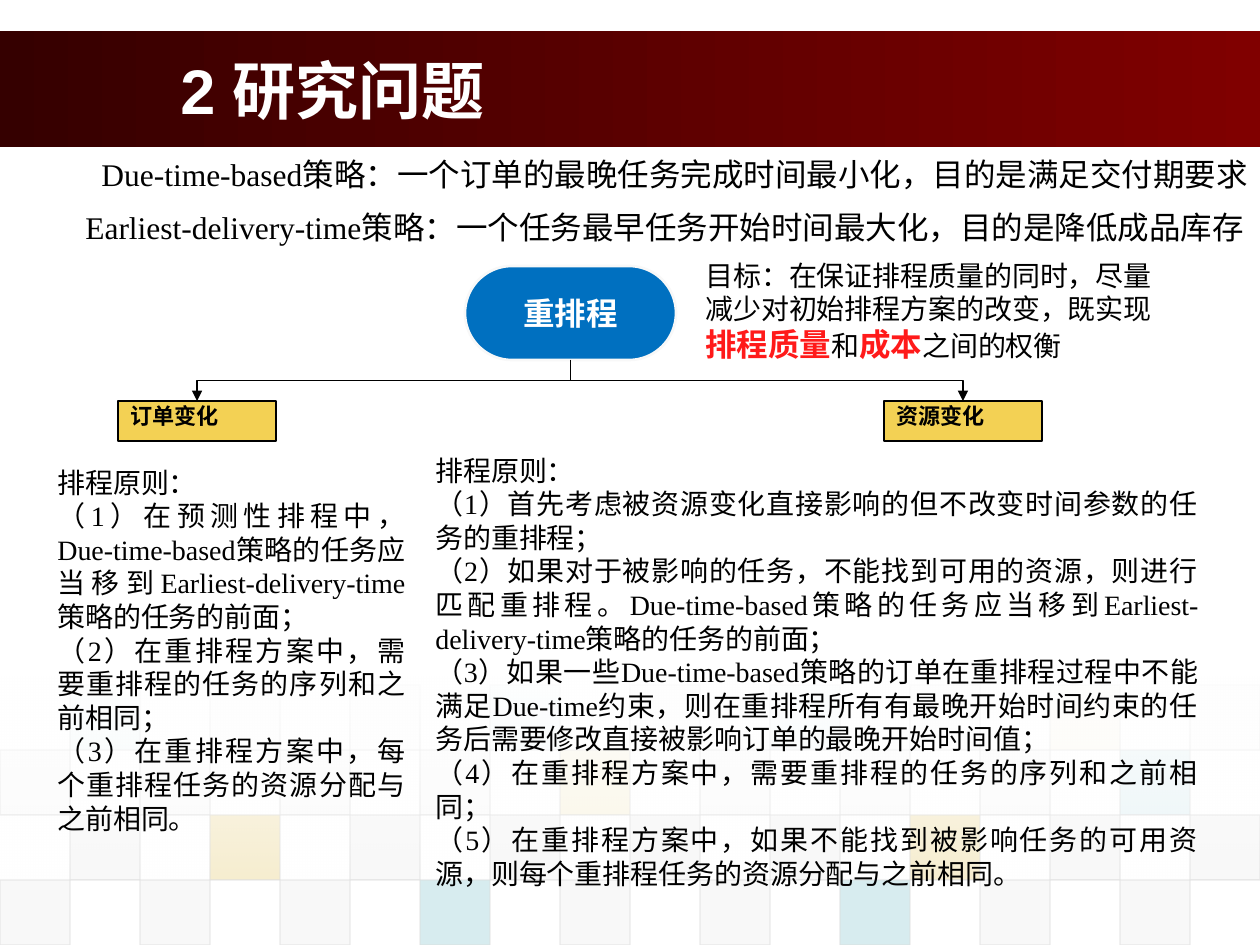
from lxml import etree
from pptx import Presentation
from pptx import util as u
from pptx.dml.color import RGBColor
from pptx.enum import shapes, text
from pptx.oxml.ns import qn

PX = 914400 / 126
CJK = "Noto Sans CJK SC"
SERIF = "Times New Roman"
BLACK, WHITE, RED = "000000", "FFFFFF", "FF1A1A"

STRATEGIES = [
    ((89, 149, 1178, 50),
     "Due-time-based策略：一个订单的最晚任务完成时间最小化，目的是满足交付期要求"),
    ((73, 202, 1174, 88),
     "Earliest-delivery-time策略：一个任务最早任务开始时间最大化，目的是降低成品库存"),
]
GOAL = [
    ("目标：在保证排程质量的同时，尽量减少对初始排程方案的改变，既实现", False),
    ("排程质量", True),
    ("和", False),
    ("成本", True),
    ("之间的权衡", False),
]
ORDER_RULES = [
    "排程原则：",
    "（1）在预测性排程中，Due-time-based策略的任务应当移到Earliest-delivery-time策略的任务的前面；",
    "（2）在重排程方案中，需要重排程的任务的序列和之前相同；",
    "（3）在重排程方案中，每个重排程任务的资源分配与之前相同。",
]
RESOURCE_RULES = [
    "排程原则：",
    "（1）首先考虑被资源变化直接影响的但不改变时间参数的任务的重排程；",
    "（2）如果对于被影响的任务，不能找到可用的资源，则进行匹配重排程。"
    "Due-time-based策略的任务应当移到Earliest-delivery-time策略的任务的前面；",
    "（3）如果一些Due-time-based策略的订单在重排程过程中不能满足Due-time约束，"
    "则在重排程所有有最晚开始时间约束的任务后需要修改直接被影响订单的最晚开始时间值；",
    "（4）在重排程方案中，需要重排程的任务的序列和之前相同；",
    "（5）在重排程方案中，如果不能找到被影响任务的可用资源，则每个重排程任务的资源分配与之前相同。",
]
# One letter per tile: teal, light, yellow, grey; tiles fill every second column.
TILE_COLOURS = {"T": "38A3B2", "L": "EAEAEA", "Y": "D3A911", "G": "DDDDDD"}
TILE_ROWS = [
    (1, 5, "TLLTGTLYL"),
    (0, 10, "GGGGYGGGT"),
    (1, 20, "GYGGGGYGG"),
    (0, 20, "GGGTGGTGG"),
]


def emu(*lengths):
    return [u.Emu(round(length * PX)) for length in lengths]


def colour(code):
    return RGBColor.from_string(code)


def set_opacity(holder, percent):
    """Make the first colour inside an XML element partly transparent."""
    tint = next(holder.iter(qn("a:srgbClr")))
    etree.SubElement(tint, qn("a:alpha"), val=str(percent * 1000))


def add_shape(page, box, fill=None, line=None, width=0.75, kind=shapes.MSO_SHAPE.RECTANGLE):
    shape = page.shapes.add_shape(kind, *emu(*box))
    shape.shadow.inherit = False
    if fill:
        shape.fill.solid()
        shape.fill.fore_color.rgb = colour(fill)
    if line:
        shape.line.color.rgb = colour(line)
        shape.line.width = u.Pt(width)
    else:
        shape.line.fill.background()
    return shape


def add_gradient(page, box, start, end, angle):
    shape = add_shape(page, box)
    shape.fill.gradient()
    shape.fill.gradient_angle = angle
    for stop, code in zip(shape.fill.gradient_stops, (start, end)):
        stop.color.rgb = colour(code)
    return shape


def style(span, size, face, code=BLACK, bold=False):
    font = span.font
    font.size, font.name, font.bold = u.Pt(size), face, bold
    font.color.rgb = colour(code)
    etree.SubElement(span._r.get_or_add_rPr(), qn("a:ea"), typeface=CJK)


def write(frame, lines, size, face, code=BLACK, bold=False, align=text.PP_ALIGN.LEFT):
    """Fill a frame, keeping punctuation inside its right edge."""
    frame.text = "\n".join(lines)
    for para in frame.paragraphs:
        para.alignment = align
        para._p.get_or_add_pPr().set("hangingPunct", "0")
        for span in para.runs:
            style(span, size, face, code, bold)


def add_text_box(page, box):
    frame = page.shapes.add_textbox(*emu(*box)).text_frame
    frame.word_wrap = True
    frame.auto_size = text.MSO_AUTO_SIZE.SHAPE_TO_FIT_TEXT
    return frame


def add_tiles(page, box):
    """Checkerboard that fades out towards its top."""
    left, top, width, height = box
    tile_width, tile_height = width / 18, height / len(TILE_ROWS)
    for row, (first, opacity, letters) in enumerate(TILE_ROWS):
        for index, letter in enumerate(letters):
            tile_left = left + (first + 2 * index) * tile_width
            tile = add_shape(page, (tile_left, top + row * tile_height, tile_width, tile_height),
                             TILE_COLOURS[letter], "DDDDDD")
            set_opacity(tile._element.spPr.find(qn("a:solidFill")), opacity)
            set_opacity(tile._element.spPr.find(qn("a:ln")), 60)
    veil = add_gradient(page, (left, top - 8, width, 204), WHITE, WHITE, 270)
    for stop, opacity in zip(veil._element.iter(qn("a:gs")), (90, 0)):
        set_opacity(stop, opacity)


def add_banner(page, box):
    left, top, width, height = box
    add_gradient(page, box, "350000", "800000", 0)
    frame = page.shapes.add_textbox(*emu(left + 168, top, width - 242, height)).text_frame
    frame.word_wrap = True
    frame.vertical_anchor = text.MSO_ANCHOR.MIDDLE
    write(frame, ["2 研究问题"], 36, "Arial", WHITE, True)


def add_branch(page, start, end):
    """Elbow arrow that leaves downwards, runs sideways and arrives downwards."""
    (x1, y1), (x2, y2) = start, end
    middle_x, middle_y = (x1 + x2) / 2, (y1 + y2) / 2
    to_right = x2 > x1
    half_drop = (y2 - y1) / 2 * (-1 if to_right else 1)
    half_span = abs(x2 - x1) / 2
    # The elbow is laid out sideways, then turned a quarter about its centre.
    branch = page.shapes.add_connector(
        shapes.MSO_CONNECTOR.ELBOW,
        *emu(middle_x - half_drop, middle_y - half_span,
             middle_x + half_drop, middle_y + half_span))
    branch.line.color.rgb = colour(BLACK)
    branch.line.width = u.Pt(0.75)
    props = branch._element.spPr
    props.find(qn("a:xfrm")).set("rot", str((270 if to_right else 90) * 60000))
    etree.SubElement(props.find(qn("a:ln")), qn("a:tailEnd"), type="triangle")
    etree.SubElement(props, qn("a:effectLst"))


def add_tree(page, box):
    """Root pill with one labelled box at each lower corner."""
    left, top, width, height = box
    root_left, root_width, root_height = left + 347, 211, 94
    root = add_shape(page, (root_left, top, root_width, root_height), "0070C0", "F8F8F8", 1.5,
                     shapes.MSO_SHAPE.ROUNDED_RECTANGLE)
    root.adjustments[0] = 0.5
    root.text_frame.word_wrap = False
    root.text_frame.vertical_anchor = text.MSO_ANCHOR.MIDDLE
    write(root.text_frame, ["重排程"], 18, CJK, WHITE, True, text.PP_ALIGN.CENTER)

    leaf_width, leaf_height = 158, 40
    leaf_top = top + height - leaf_height
    start = (root_left + root_width / 2, top + root_height)
    for leaf_left, label in ((left, "订单变化"), (left + width - leaf_width, "资源变化")):
        leaf = add_shape(page, (leaf_left, leaf_top, leaf_width, leaf_height), "F3D154", BLACK)
        leaf.text_frame.vertical_anchor = text.MSO_ANCHOR.TOP
        write(leaf.text_frame, [label], 12.6, "Arial", bold=True)
        leaf.text_frame.paragraphs[0].line_spacing = 0.8
        add_branch(page, start, (leaf_left + leaf_width / 2, leaf_top))


def add_goal(page, box):
    para = add_text_box(page, box).paragraphs[0]
    for words, strong in GOAL:
        span = para.add_run()
        span.text = words
        style(span, 18 if strong else 16, CJK, RED if strong else BLACK, strong)


def add_rules(page, box, lines):
    write(add_text_box(page, box), lines, 16, SERIF, align=text.PP_ALIGN.JUSTIFY)


def add_strategy(page, box, words):
    frame = add_text_box(page, box)
    frame.margin_right = 0
    write(frame, [words], 18, SERIF)


def main():
    deck = Presentation()
    deck.slide_width, deck.slide_height = emu(1260, 945)
    page = deck.slides.add_slide(deck.slide_layouts[6])
    add_tiles(page, (0, 685, 1260, 260))
    add_banner(page, (0, 31, 1260, 116))
    add_tree(page, (118, 266, 924, 175))
    add_goal(page, (693, 252, 494, 118))
    add_rules(page, (45, 459, 373, 382), ORDER_RULES)
    add_rules(page, (423, 447, 788, 450), RESOURCE_RULES)
    for box, words in STRATEGIES:
        add_strategy(page, box, words)
    deck.save("out.pptx")


if __name__ == "__main__":
    main()
